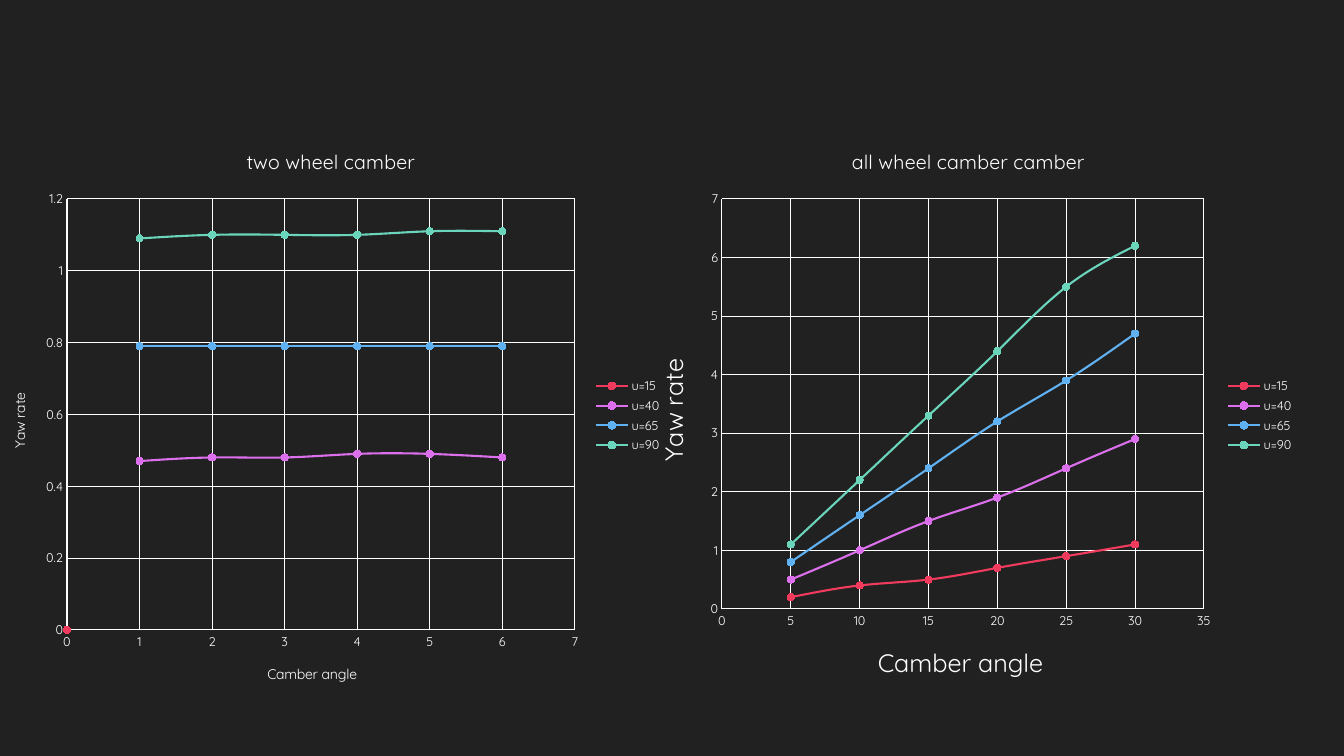
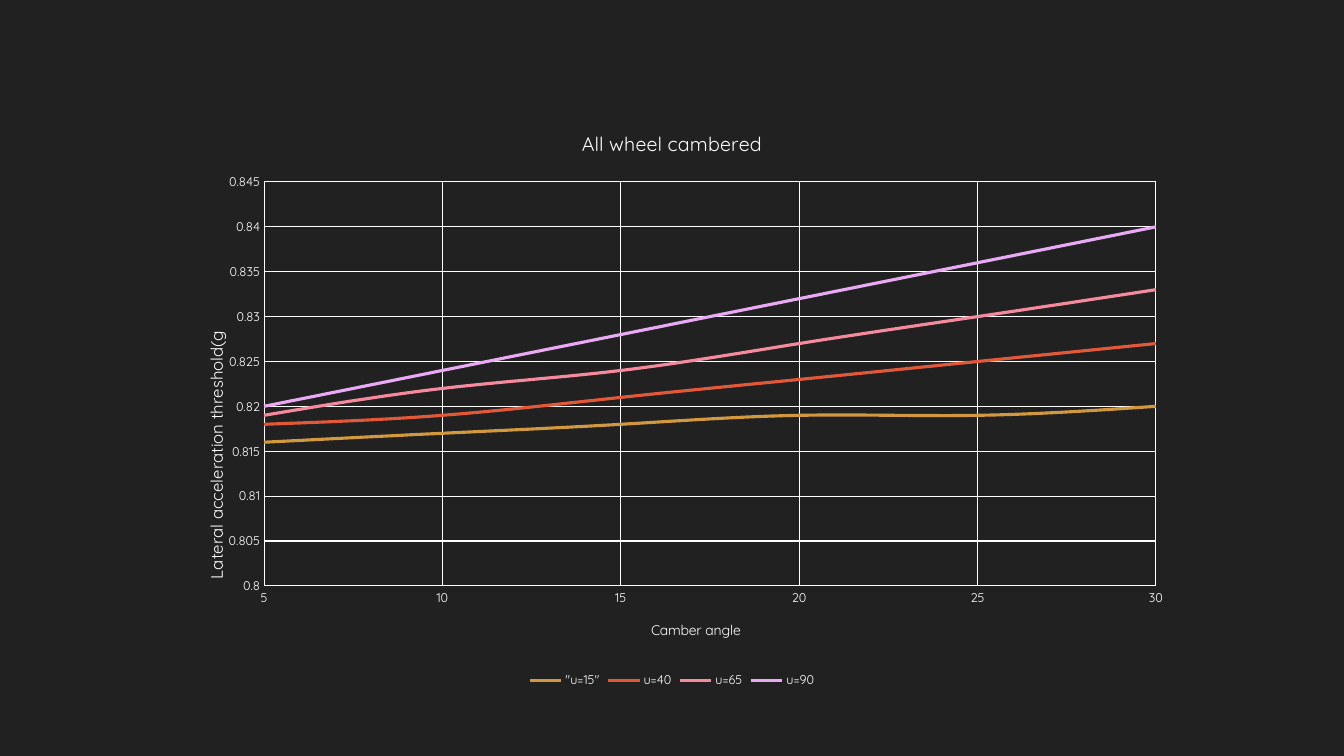
from lxml import etree
from pptx import Presentation
from pptx.chart.data import XyChartData
from pptx.dml.color import RGBColor
from pptx.enum.chart import XL_CHART_TYPE, XL_LEGEND_POSITION, XL_MARKER_STYLE, XL_TICK_MARK
from pptx.oxml.ns import qn
from pptx.util import Emu, Pt

EMU_PER_PX = 914400 / 100.8
SLIDE_W, SLIDE_H = 1344, 756
BLANK_LAYOUT = 6

SMOOTH_MARKED = XL_CHART_TYPE.XY_SCATTER_SMOOTH
SMOOTH_PLAIN = XL_CHART_TYPE.XY_SCATTER_SMOOTH_NO_MARKERS
LEGEND_RIGHT, LEGEND_BOTTOM = XL_LEGEND_POSITION.RIGHT, XL_LEGEND_POSITION.BOTTOM
CIRCLE = XL_MARKER_STYLE.CIRCLE
NO_TICK = XL_TICK_MARK.NONE

CHARCOAL = RGBColor(0x21, 0x21, 0x21)
WHITE = RGBColor(0xFF, 0xFF, 0xFF)
RED = RGBColor(0xF0, 0x3B, 0x5E)
VIOLET = RGBColor(0xDC, 0x6F, 0xEC)
BLUE = RGBColor(0x60, 0xB1, 0xF2)
MINT = RGBColor(0x6A, 0xD5, 0xBB)
GOLD = RGBColor(0xD2, 0x98, 0x3E)
ORANGE = RGBColor(0xE4, 0x58, 0x3A)
PINK = RGBColor(0xF6, 0x89, 0x9E)
LILAC = RGBColor(0xEA, 0xA9, 0xF4)
YAW_COLORS = (RED, VIOLET, BLUE, MINT)
LATERAL_COLORS = (GOLD, ORANGE, PINK, LILAC)

FONT_FORMAT = {"name": "Quicksand", "bold": False}
TITLE_SIZE, AXIS_TITLE_SIZE, LABEL_SIZE = 14, 10, 9
SPEEDS = ("u=15", "u=40", "u=65", "u=90")
WIDE_ANGLES = range(5, 31, 5)


def px(length):
    return Emu(round(length * EMU_PER_PX))


def set_format(target, values):
    for attribute, value in values.items():
        setattr(target, attribute, value)


def style_font(font, size):
    set_format(font, {**FONT_FORMAT, "size": Pt(size)})
    font.color.rgb = WHITE


def style_line(line, color, width):
    line.color.rgb = color
    line.width = Pt(width)


def write_title(title, text, size):
    title.text_frame.text = text
    style_font(title.text_frame.paragraphs[0].runs[0].font, size)


def place_in_chart(parent, index, values, inner=False):
    """Give a chart part a fixed place, in fractions of the chart."""
    for old_layout in parent.findall(qn("c:layout")):
        parent.remove(old_layout)
    layout = etree.Element(qn("c:layout"))
    manual = etree.SubElement(layout, qn("c:manualLayout"))
    settings = {"layoutTarget": "inner"} if inner else {}
    settings.update(xMode="edge", yMode="edge")
    settings.update(zip("xywh", (f"{value:.4f}" for value in values)))
    for tag, value in settings.items():
        etree.SubElement(manual, qn(f"c:{tag}")).set("val", value)
    parent.insert(index, layout)


def style_axis(axis, text, size, scale):
    low, high, step = scale
    set_format(axis, {
        "minimum_scale": low, "maximum_scale": high, "major_unit": step,
        "has_major_gridlines": True, "has_minor_gridlines": False,
        "major_tick_mark": NO_TICK, "minor_tick_mark": NO_TICK,
    })
    set_format(axis.tick_labels, {"number_format": "General", "number_format_is_linked": False})
    style_font(axis.tick_labels.font, LABEL_SIZE)
    for line in (axis.format.line, axis.major_gridlines.format.line):
        style_line(line, WHITE, 0.75)
    write_title(axis.axis_title, text, size)


def style_curve(curve, color, width, marked):
    style_line(curve.format.line, color, width)
    curve._element.get_or_add_smooth().val = True
    if marked:
        set_format(curve.marker, {"style": CIRCLE, "size": 5})
        curve.marker.format.fill.solid()
        curve.marker.format.fill.fore_color.rgb = color
        style_line(curve.marker.format.line, color, 0.75)


def add_camber_chart(slide, box, plot_box, title, curves, colors, x_axis, y_axis,
                     marked=True, width=1.5, legend_at=LEGEND_RIGHT):
    """Draw a smooth scatter chart; plot_box is relative to box."""
    data = XyChartData()
    for name, angles, values in curves:
        series = data.add_series(name)
        for angle, value in zip(angles, values):
            series.add_data_point(angle, value)
    kind = SMOOTH_MARKED if marked else SMOOTH_PLAIN
    chart = slide.shapes.add_chart(kind, *map(px, box), data).chart

    # Titles, axes and legend
    style_font(chart.font, AXIS_TITLE_SIZE)
    write_title(chart.chart_title, title, TITLE_SIZE)
    style_axis(chart.category_axis, *x_axis)
    style_axis(chart.value_axis, *y_axis)
    chart.has_legend = True
    set_format(chart.legend, {"position": legend_at, "include_in_layout": False})
    style_font(chart.legend.font, LABEL_SIZE)

    # Curves
    plot = chart.plots[0]
    plot.vary_by_categories = False
    for curve, color in zip(plot.series, colors):
        style_curve(curve, color, width, marked)

    # Plot area
    left, top, plot_w, plot_h = plot_box
    box_w, box_h = box[2:]
    fractions = (left / box_w, top / box_h, plot_w / box_w, plot_h / box_h)
    place_in_chart(chart._chartSpace.chart.plotArea, 0, fractions, inner=True)
    return chart


def build_yaw_rate_slide(slide):
    # Two wheel camber, on the left
    angles = range(1, 7)
    two_wheel = (
        (SPEEDS[0], [0] * 6, [0] * 6),
        (SPEEDS[1], angles, (0.47, 0.48, 0.48, 0.49, 0.49, 0.48)),
        (SPEEDS[2], angles, [0.79] * 6),
        (SPEEDS[3], angles, (1.09, 1.1, 1.1, 1.1, 1.11, 1.11)),
    )
    add_camber_chart(
        slide, (-10, 127, 682, 577), (77, 72, 508, 431), "two wheel camber",
        two_wheel, YAW_COLORS,
        ("Camber angle", AXIS_TITLE_SIZE, (0, 7, 1)),
        ("Yaw rate", AXIS_TITLE_SIZE, (0, 1.2, 0.2)))

    # All wheel camber, on the right
    rates = (
        (0.2, 0.4, 0.5, 0.7, 0.9, 1.1),
        (0.5, 1, 1.5, 1.9, 2.4, 2.9),
        (0.8, 1.6, 2.4, 3.2, 3.9, 4.7),
        (1.1, 2.2, 3.3, 4.4, 5.5, 6.2),
    )
    all_wheel = [(speed, WIDE_ANGLES, row) for speed, row in zip(SPEEDS, rates)]
    add_camber_chart(
        slide, (633, 127, 671, 577), (89, 72, 482, 410), "all wheel camber camber",
        all_wheel, YAW_COLORS,
        ("Camber angle", 18, (0, 35, 5)), ("Yaw rate", 18, (0, 7, 1)))


def build_lateral_slide(slide):
    thresholds = (
        (0.816, 0.817, 0.818, 0.819, 0.819, 0.82),
        (0.818, 0.819, 0.821, 0.823, 0.825, 0.827),
        (0.819, 0.822, 0.824, 0.827, 0.83, 0.833),
        (0.82, 0.824, 0.828, 0.832, 0.836, 0.84),
    )
    names = ('"u=15"',) + SPEEDS[1:]
    curves = [(name, WIDE_ANGLES, row) for name, row in zip(names, thresholds)]
    chart = add_camber_chart(
        slide, (160, 109, 1024, 583), (104, 73, 892, 404), "All wheel cambered",
        curves, LATERAL_COLORS,
        ("Camber angle", AXIS_TITLE_SIZE, (5, 30, 5)),
        ("Lateral acceleration threshold(g", 12, (0.8, 0.845, 0.005)),
        marked=False, width=2.25, legend_at=LEGEND_BOTTOM)
    # The long axis title sits low beside the axis
    place_in_chart(chart.value_axis.axis_title._element, 1, (0.04, 0.375))


def main():
    prs = Presentation()
    prs.slide_width, prs.slide_height = px(SLIDE_W), px(SLIDE_H)
    background = prs.slide_master.background.fill
    background.solid()
    background.fore_color.rgb = CHARCOAL
    for build in (build_yaw_rate_slide, build_lateral_slide):
        build(prs.slides.add_slide(prs.slide_layouts[BLANK_LAYOUT]))
    prs.save("out.pptx")


if __name__ == "__main__":
    main()
